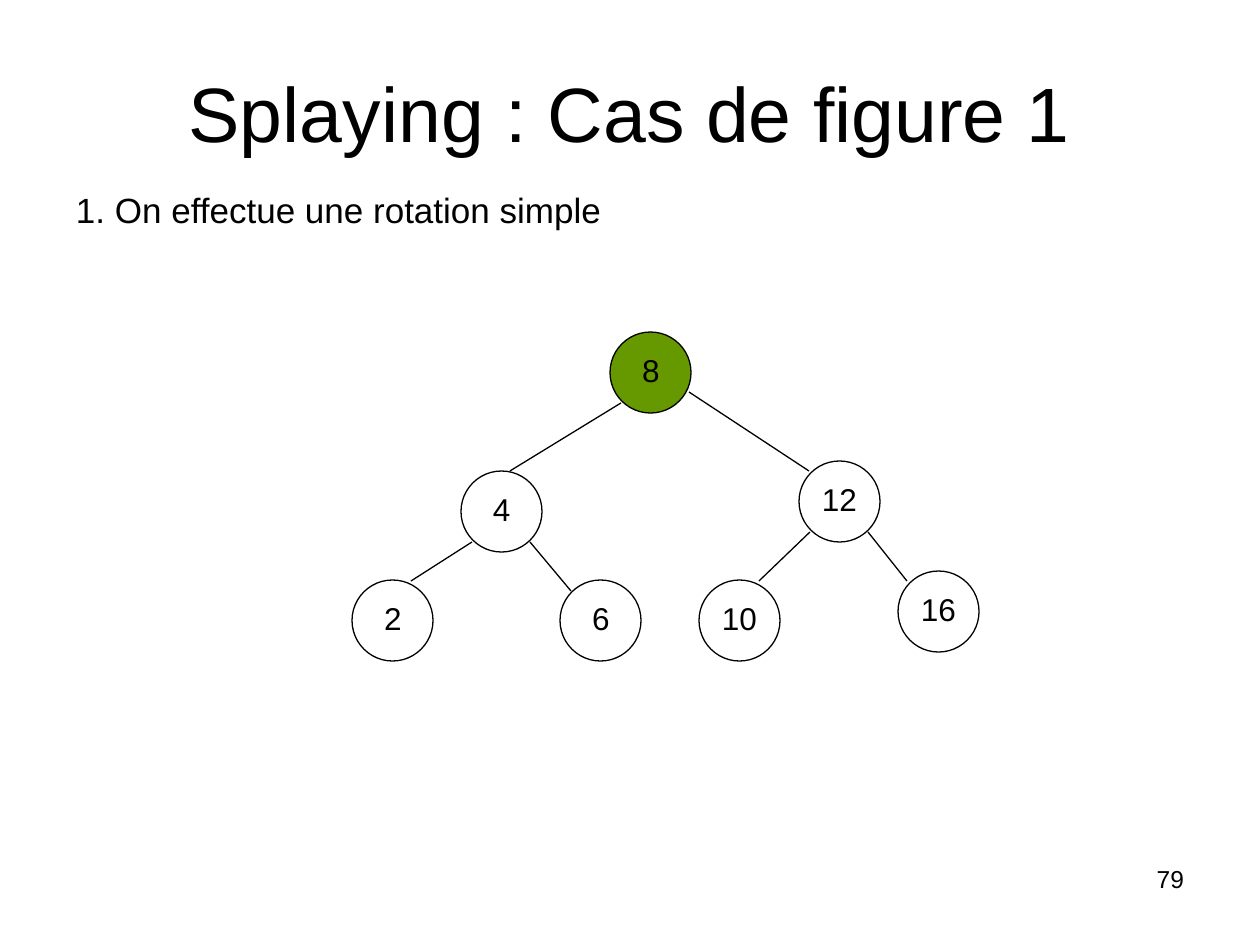
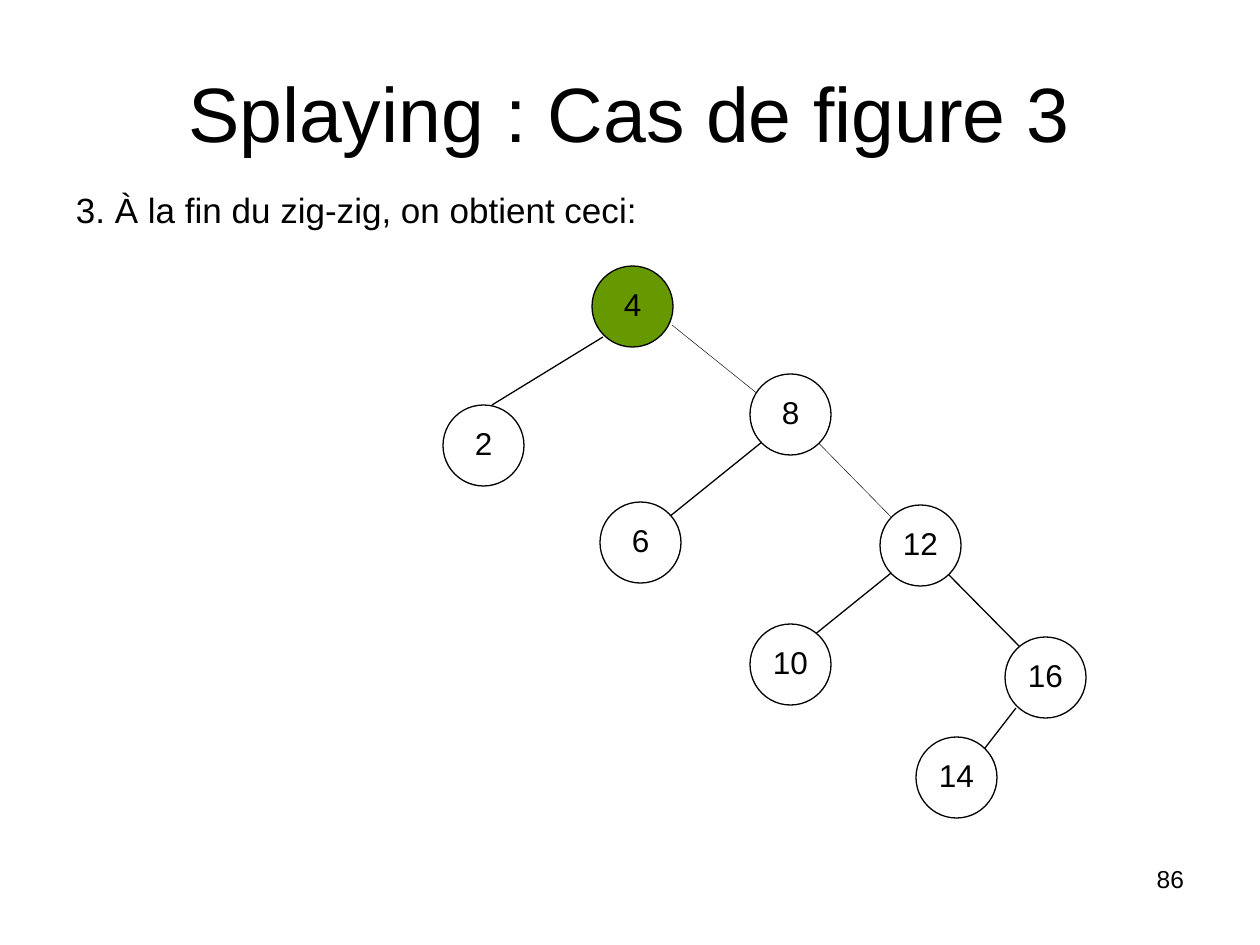
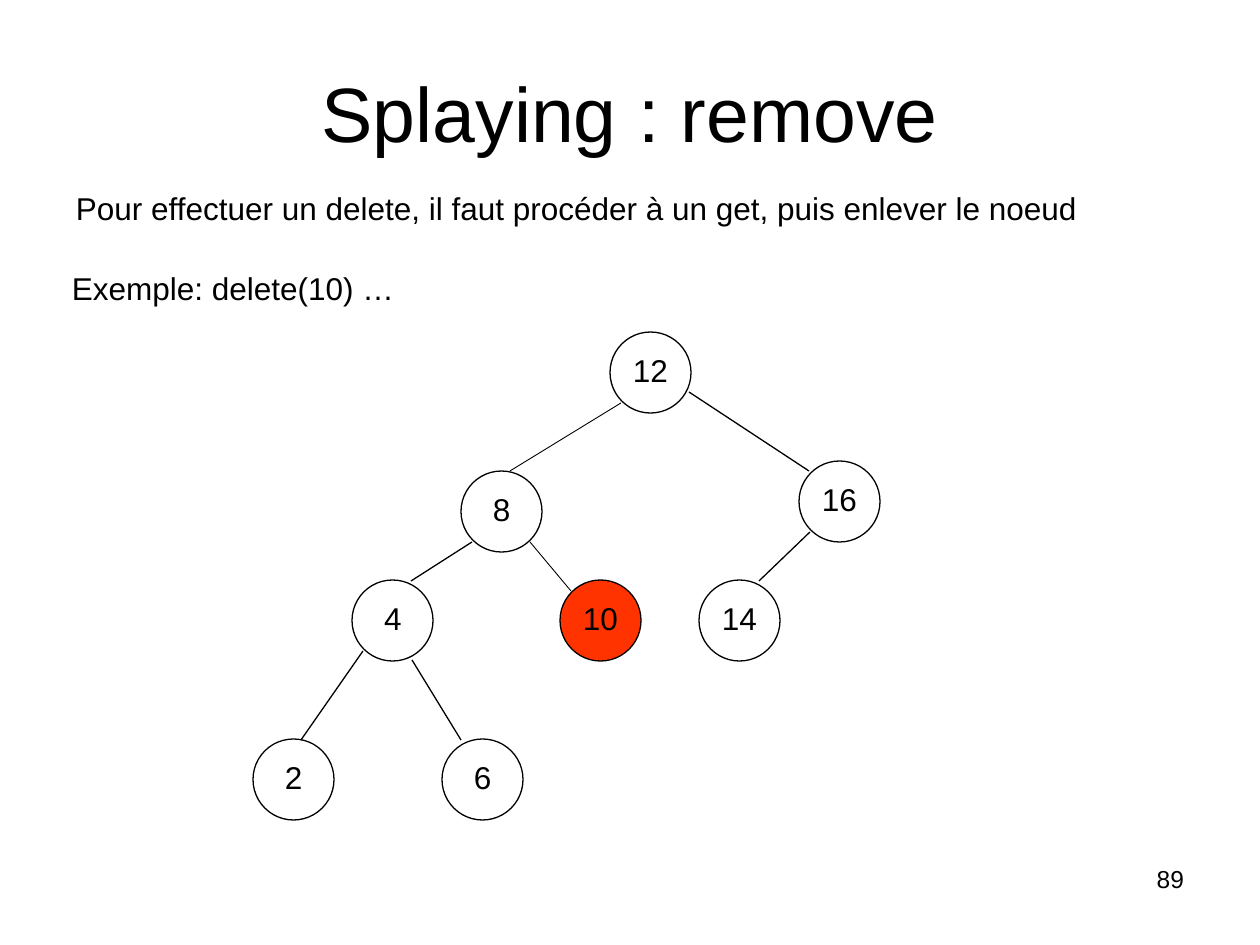
from dataclasses import dataclass

from lxml.etree import SubElement
from pptx import Presentation
from pptx.dml.color import RGBColor
from pptx.enum.shapes import MSO_CONNECTOR, MSO_SHAPE
from pptx.enum.text import MSO_ANCHOR, PP_ALIGN
from pptx.oxml.ns import qn
from pptx.util import Emu, Pt


@dataclass(frozen=True)
class Theme:
    font: str = "Arial"
    ink: str = "000000"
    paper: str = "FFFFFF"
    splayed: str = "669900"
    removed: str = "FF3300"
    title: int = 44
    lead: int = 20
    text: int = 18
    number: int = 14
    line: float = 0.75
    spacing: float = 0.93


@dataclass(frozen=True)
class Slot:
    x: int
    y: int
    parent: str = ""
    start: tuple = (11, 71)
    end: tuple = (0, 0)


THEME = Theme()
PX_PER_INCH = 126
NODE = 81
DIGIT = 18
LABEL_TOP, LABEL_HEIGHT = 22, 35
INSETS = (13, 6)

TITLE_BOX = (63, 67, 1134, 100)
LEAD_BOX = (63, 186, 1134, 53)
EXAMPLE_BOX = (59, 266, 350, 49)
NUMBER_BOX = (903, 861, 294, 66)
BALANCED_BOX = (253, 332, 726, 488)
ZIGZIG_BOX = (443, 266, 643, 552)

BALANCED = {
    "root": Slot(357, 0),
    "left": Slot(208, 139, "root", end=(49, 0)),
    "right": Slot(546, 129, "root", (79, 60), (10, 10)),
    "left.left": Slot(99, 248, "left", end=(59, 1)),
    "left.right": Slot(307, 248, "left", (69, 71), (11, 11)),
    "right.left": Slot(446, 248, "right", end=(60, 1)),
    "right.right": Slot(645, 239, "right", (69, 71), (9, 10)),
    "left.left.left": Slot(0, 407, "left.left", end=(48, 1)),
    "left.left.right": Slot(189, 407, "left.left", (60, 80), (19, 1)),
}

ZIGZIG = {
    "4": Slot(149, 0),
    "2": Slot(0, 139, "4", end=(49, 0)),
    "8": Slot(307, 108, "4", (80, 59), (19, 29)),
    "6": Slot(157, 236, "8", (17, 64), (69, 15)),
    "12": Slot(437, 239, "8", (49, 49), (16, 17)),
    "10": Slot(307, 358, "12", (26, 56), (58, 16)),
    "16": Slot(562, 371, "12", (69, 70), (18, 13)),
    "14": Slot(473, 471, "16", end=(38, 51)),
}


def px(n):
    return Emu(round(n * 914400 / PX_PER_INCH))


def rgb(color):
    return RGBColor.from_string(color)


def paint(sp, color):
    if color:
        sp.fill.solid()
        sp.fill.fore_color.rgb = rgb(color)
    else:
        sp.fill.background()


def add_text(s, box, text, size, align=PP_ALIGN.LEFT, anchor=MSO_ANCHOR.TOP, before=0,
             insets=INSETS, wrap=True):
    sp = s.shapes.add_textbox(*map(px, box))
    tf = sp.text_frame
    tf.word_wrap = wrap
    tf.vertical_anchor = anchor
    tf.margin_left = tf.margin_right = px(insets[0])
    tf.margin_top = tf.margin_bottom = px(insets[1])
    p = tf.paragraphs[0]
    p.text = text
    p.alignment = align
    p.line_spacing = THEME.spacing
    p.space_before = Pt(before)
    p.font.name = THEME.font
    p.font.size = Pt(size)
    p.font.color.rgb = rgb(THEME.ink)
    return sp


def add_edge(s, start, end, width):
    line = s.shapes.add_connector(MSO_CONNECTOR.STRAIGHT, *map(px, start + end))
    line.line.color.rgb = rgb(THEME.ink)
    line.line.width = Pt(width)
    SubElement(line._element.spPr, qn("a:effectLst"))


def add_node(s, x, y, label, fill):
    circle = s.shapes.add_shape(MSO_SHAPE.OVAL, px(x), px(y), px(NODE), px(NODE))
    circle.shadow.inherit = False
    circle.line.color.rgb = rgb(THEME.ink)
    circle.line.width = Pt(THEME.line)
    paint(circle, fill)
    width = DIGIT * len(label) - 1
    box = (x + (NODE - width) // 2, y + LABEL_TOP, width, LABEL_HEIGHT)
    paint(add_text(s, box, label, THEME.text, PP_ALIGN.CENTER, insets=(0, 0), wrap=False),
          fill)


def add_tree(s, box, slots, labels, fills, edge_widths):
    left, top = box[:2]

    def place(slot, offset=(0, 0)):
        return left + slot.x + offset[0], top + slot.y + offset[1]

    for name in labels:
        slot = slots[name]
        if slot.parent:
            add_edge(s, place(slots[slot.parent], slot.start), place(slot, slot.end),
                     edge_widths.get(name, THEME.line))
    for name, label in labels.items():
        add_node(s, *place(slots[name]), label, fills.get(name))


def add_tree_slide(prs, number, title, lead, lead_size, box, slots, labels, fills,
                   edge_widths):
    s = prs.slides.add_slide(prs.slide_layouts[6])
    add_text(s, NUMBER_BOX, str(number), THEME.number, PP_ALIGN.RIGHT)
    add_text(s, TITLE_BOX, title, THEME.title, PP_ALIGN.CENTER, MSO_ANCHOR.MIDDLE)
    add_text(s, LEAD_BOX, lead, lead_size, before=7)
    add_tree(s, box, slots, labels, fills, edge_widths)
    return s


def main():
    prs = Presentation()
    prs.slide_width, prs.slide_height = px(1260), px(945)

    add_tree_slide(
        prs, 79, "Splaying : Cas de figure 1", "1. On effectue une rotation simple",
        THEME.lead, BALANCED_BOX, BALANCED,
        {"root": "8", "left": "4", "right": "12", "left.left": "2",
         "left.right": "6", "right.left": "10", "right.right": "16"},
        {"root": THEME.splayed}, {})

    zigzig_fills = dict.fromkeys(ZIGZIG, THEME.paper)
    zigzig_fills.update({"4": THEME.splayed, "2": None})
    add_tree_slide(
        prs, 86, "Splaying : Cas de figure 3", "3. À la fin du zig-zig, on obtient ceci:",
        THEME.lead, ZIGZIG_BOX, ZIGZIG, {key: key for key in ZIGZIG},
        zigzig_fills, {"8": 0.25, "12": 0.25})

    s = add_tree_slide(
        prs, 89, "Splaying : remove",
        "Pour effectuer un delete, il faut procéder à un get, puis enlever le noeud",
        THEME.text, BALANCED_BOX, BALANCED,
        {"root": "12", "left": "8", "right": "16", "left.left": "4",
         "left.right": "10", "right.left": "14", "left.left.left": "2",
         "left.left.right": "6"},
        {"left.right": THEME.removed}, {"left": 0.5, "left.right": 0.5})
    add_text(s, EXAMPLE_BOX, "Exemple: delete(10) …", THEME.text)

    prs.save("out.pptx")


if __name__ == "__main__":
    main()
